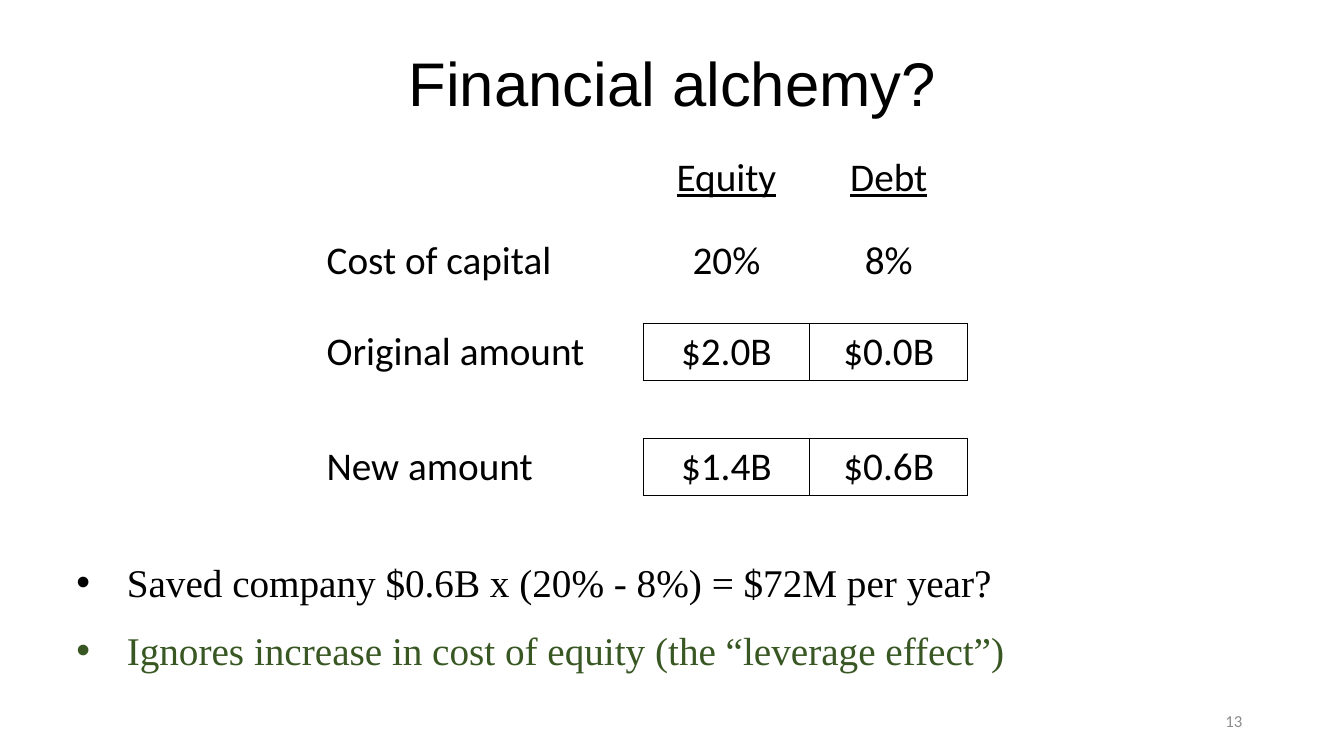
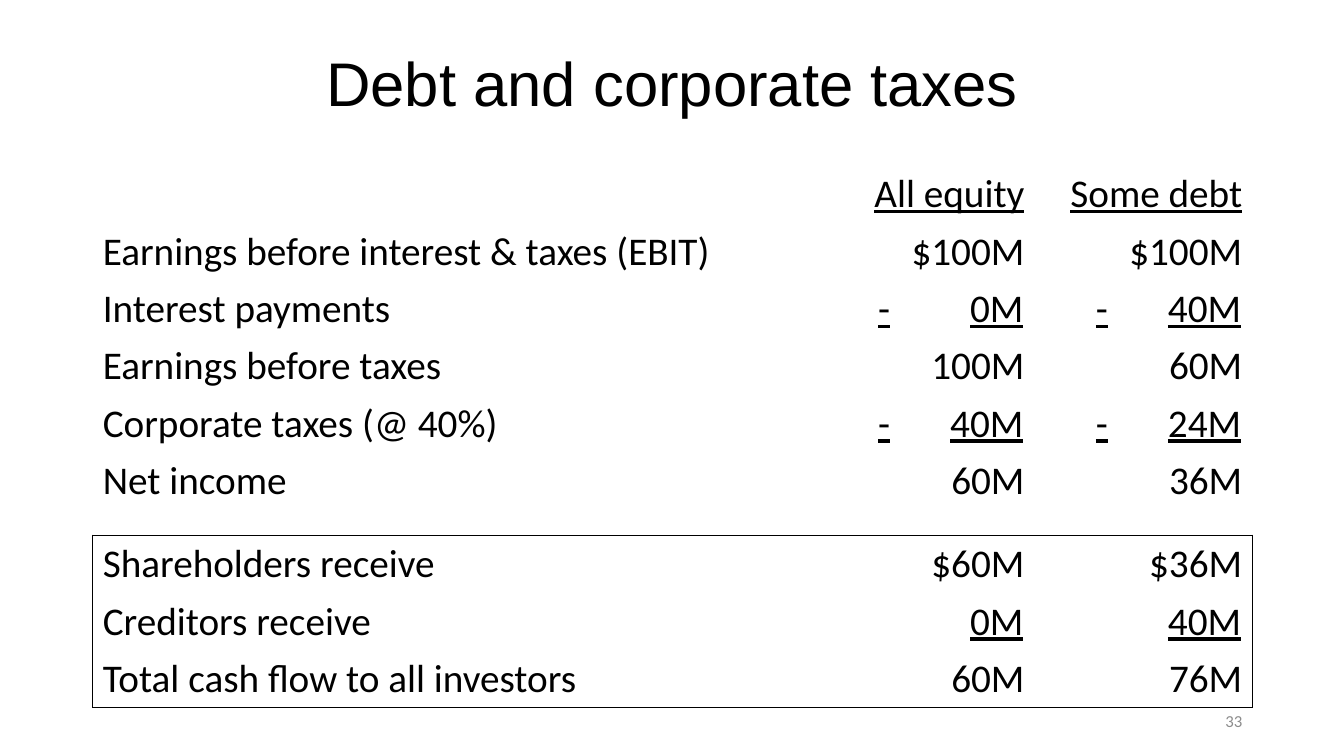
from lxml import etree
from pptx import Presentation
from pptx import util as u
from pptx.dml.color import RGBColor
from pptx.enum import text
from pptx.oxml import ns

BLACK = RGBColor(0x00, 0x00, 0x00)
GREEN = RGBColor(0x38, 0x57, 0x23)
GRAY = RGBColor(0x8C, 0x8C, 0x8C)
TITLE_FONT, TABLE_FONT, BULLET_FONT = "Arial", "Calibri", "Times New Roman"
BODY_SIZE = 28
LEFT, CONTENT_WIDTH = 0.92, 11.5
ROW_HEIGHT = 0.57
CELL_MARGIN = 0.1
RULE_WIDTH = 1.45  # length of the rule under a subtracted or added amount
NO_GRID_STYLE = "{2D5ABB26-0587-4C30-8999-92F81FD0307C}"
EDGES = {"left": "a:lnL", "right": "a:lnR", "top": "a:lnT", "bottom": "a:lnB"}
LEFT_ALIGN, CENTER, RIGHT = (text.PP_ALIGN.LEFT, text.PP_ALIGN.CENTER,
                             text.PP_ALIGN.RIGHT)


def add_child(parent, tag, **attributes):
    return etree.SubElement(parent, ns.qn(tag), attributes)


def add_run(paragraph, words, font, size, color=BLACK, underline=None):
    run = paragraph.add_run()
    run.text = words
    run.font.name = font
    run.font.size = u.Pt(size)
    run.font.color.rgb = color
    run.font.underline = underline


def place(shape, left, top, width, height):
    shape.left, shape.top = u.Inches(left), u.Inches(top)
    shape.width, shape.height = u.Inches(width), u.Inches(height)


def add_text_box(slide, left, top, width, height):
    box = slide.shapes.add_textbox(*map(u.Inches, (left, top, width, height)))
    box.text_frame.word_wrap = True
    return box.text_frame


# Shared slide frame: title and slide number
def add_titled_slide(presentation, title, number):
    slide = presentation.slides.add_slide(presentation.slide_layouts[5])
    place(slide.shapes.title, LEFT, 0.4, CONTENT_WIDTH, 0.91)
    frame = slide.shapes.title.text_frame
    frame.vertical_anchor = text.MSO_ANCHOR.MIDDLE
    frame.auto_size = text.MSO_AUTO_SIZE.NONE
    paragraph = frame.paragraphs[0]
    paragraph.alignment = CENTER
    paragraph.line_spacing = 0.9
    add_run(paragraph, title, TITLE_FONT, 44)

    footer = add_text_box(slide, 9.42, 6.95, 3, 0.4)
    footer.vertical_anchor = text.MSO_ANCHOR.MIDDLE
    footer.paragraphs[0].alignment = RIGHT
    add_run(footer.paragraphs[0], str(number), TABLE_FONT, 12, GRAY)
    return slide


# Tables
def fill_cell(cell, words, alignment, underline):
    cell.fill.background()
    paragraph = cell.text_frame.paragraphs[0]
    paragraph.alignment = alignment
    if words:
        add_run(paragraph, words, TABLE_FONT, BODY_SIZE, underline=underline)
    else:
        paragraph_end = add_child(paragraph._p, "a:endParaRPr", sz="800")
        add_child(paragraph_end, "a:latin", typeface=TABLE_FONT)


def rule_amount(cell, column_width):
    """Let the underline run from the sign to a right tab at the cell edge."""
    cell.margin_left = u.Inches(column_width - CELL_MARGIN - RULE_WIDTH)
    paragraph = cell.text_frame.paragraphs[0]
    paragraph.alignment = LEFT_ALIGN
    tabs = add_child(paragraph._p.get_or_add_pPr(), "a:tabLst")
    add_child(tabs, "a:tab", pos=str(u.Inches(RULE_WIDTH - 0.01)), algn="r")


def set_borders(cell, edges):
    properties = cell._tc.get_or_add_tcPr()
    chosen = [tag for edge, tag in EDGES.items() if edge in edges]
    for position, tag in enumerate(chosen):
        line = etree.Element(ns.qn(tag), w=str(u.Pt(1)))
        fill = add_child(line, "a:solidFill")
        add_child(fill, "a:srgbClr", val=str(BLACK))
        properties.insert(position, line)


def frame_cells(table, rows, columns, dividers=False):
    """Draw a box around a block of cells, with optional column dividers."""
    for row in rows:
        for column in columns:
            sides = {"left": column == columns[0],
                     "right": dividers or column == columns[-1],
                     "top": row == rows[0], "bottom": row == rows[-1]}
            set_borders(table.cell(row, column),
                        [edge for edge, drawn in sides.items() if drawn])


def add_amount_table(slide, left, top, widths, heights, rows, alignment,
                     header=True):
    shape = slide.shapes.add_table(
        len(rows), len(widths), u.Inches(left), u.Inches(top),
        u.Inches(sum(widths)), u.Inches(sum(heights)))
    table = shape.table
    table.first_row = table.horz_banding = False
    table._tbl.tblPr.find(ns.qn("a:tableStyleId")).text = NO_GRID_STYLE
    for column, width in zip(table.columns, widths):
        column.width = u.Inches(width)
    for index, (height, values) in enumerate(zip(heights, rows)):
        table.rows[index].height = u.Inches(height)
        for column, words in enumerate(values):
            cell = table.cell(index, column)
            ruled = "\t" in words
            fill_cell(cell, words, alignment if column else LEFT_ALIGN,
                      ruled or (header and index == 0))
            if ruled:
                rule_amount(cell, widths[column])
    return table


# Bullets
def add_bullet(slide, top, words, color, line_spacing):
    frame = add_text_box(slide, 0.66, top, 11.43, 0.57)
    paragraph = frame.paragraphs[0]
    paragraph.line_spacing = line_spacing
    properties = paragraph._p.get_or_add_pPr()
    properties.set("marL", str(u.Inches(0.5)))
    properties.set("indent", str(u.Inches(-0.5)))
    add_child(properties, "a:buFont", typeface="Arial")
    add_child(properties, "a:buChar", char="•")
    add_run(paragraph, words, BULLET_FONT, BODY_SIZE, color)


def build_alchemy_slide(presentation):
    slide = add_titled_slide(presentation, "Financial alchemy?", 13)
    gap = ("", "", "")
    rows = [("", "Equity", "Debt"), gap,
            ("Cost of capital", "20%", "8%"), gap,
            ("Original amount", "$2.0B", "$0.0B"), gap,
            ("New amount", "$1.4B", "$0.6B")]
    heights = [ROW_HEIGHT, 0.25, ROW_HEIGHT, 0.34] + [ROW_HEIGHT] * 3
    table = add_amount_table(slide, 3.14, 1.48, [3.24, 1.65, 1.57], heights,
                             rows, CENTER)
    for row in (4, 6):
        frame_cells(table, [row], [1, 2], dividers=True)
    add_bullet(slide, 5.49,
               "Saved company $0.6B x (20% - 8%) = $72M per year?", BLACK, 1.0)
    add_bullet(slide, 6.13,
               "Ignores increase in cost of equity (the “leverage effect”)",
               GREEN, 1.07)


def build_taxes_slide(presentation):
    slide = add_titled_slide(presentation, "Debt and corporate taxes", 33)
    widths = [7.1, 2.24, 2.16]
    income = [("", "All equity", "Some debt"),
              ("Earnings before interest & taxes (EBIT)", "$100M", "$100M"),
              ("Interest payments", "-\t0M", "-\t40M"),
              ("Earnings before taxes", "100M", "60M"),
              ("Corporate taxes (@ 40%)", "-\t40M", "-\t24M"),
              ("Net income", "60M", "36M")]
    payouts = [("Shareholders receive", "$60M", "$36M"),
               ("Creditors receive", "\t0M", "\t40M"),
               ("Total cash flow to all investors", "60M", "76M")]
    add_amount_table(slide, LEFT, 1.64, widths, [ROW_HEIGHT] * len(income),
                     income, RIGHT)
    table = add_amount_table(slide, LEFT, 5.31, widths,
                             [ROW_HEIGHT] * len(payouts), payouts, RIGHT,
                             header=False)
    frame_cells(table, range(3), range(3))


def main():
    presentation = Presentation()
    presentation.slide_width = u.Inches(13.33)
    presentation.slide_height = u.Inches(7.5)
    build_alchemy_slide(presentation)
    build_taxes_slide(presentation)
    presentation.save("out.pptx")


if __name__ == "__main__":
    main()
